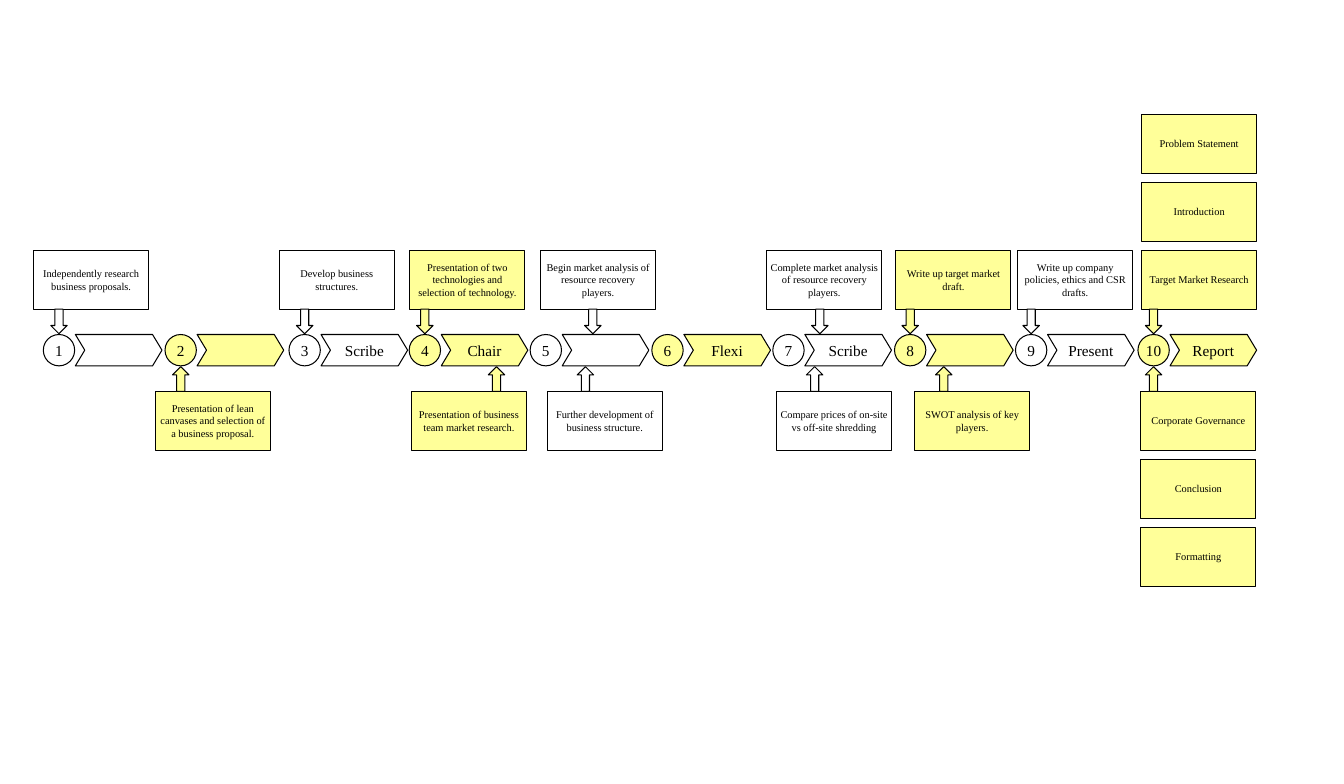
from dataclasses import dataclass

from pptx import Presentation
from pptx.dml.color import RGBColor
from pptx.enum.shapes import MSO_SHAPE
from pptx.enum.text import MSO_ANCHOR, PP_ALIGN
from pptx.util import Inches, Pt

STAGES = [
    (0.58, ""),
    (2.21, ""),
    (3.87, "Scribe"),
    (5.48, "Chair"),
    (7.10, ""),
    (8.73, "Flexi"),
    (10.35, "Scribe"),
    (11.98, ""),
    (13.60, "Present"),
    (15.24, "Report"),
]

NOTES_ABOVE = [
    (1, 0.45, 0.10, ["Independently research business proposals."]),
    (3, 3.74, 0.10, ["Develop business structures."]),
    (4, 5.49, 0.10, ["Presentation of two technologies and selection of technology."]),
    (5, 7.24, 0.73, ["Begin market analysis of resource recovery players."]),
    (7, 10.27, 0.52, ["Complete market analysis of resource recovery players."]),
    (8, 12.00, 0.10, ["Write up target market draft."]),
    (9, 13.63, 0.10, ["Write up company policies, ethics and CSR drafts."]),
    (10, 15.29, 0.10, ["Target Market Research", "Introduction", "Problem Statement"]),
]

NOTES_BELOW = [
    (2, 2.08, 0.10, ["Presentation of lean canvases and selection of a business proposal."]),
    (4, 5.51, 1.06, ["Presentation of business team market research."]),
    (5, 7.33, 0.63, ["Further development of business structure."]),
    (7, 10.40, 0.45, ["Compare prices of on-site vs off-site shredding"]),
    (8, 12.25, 0.55, ["SWOT analysis of key players."]),
    (10, 15.28, 0.10, ["Corporate Governance", "Conclusion", "Formatting"]),
]

SIDES = [
    (NOTES_ABOVE, 3.35, -0.91, 4.14, 0),
    (NOTES_BELOW, 5.24, 0.91, 4.91, 180),
]

STAGE_TOP = 4.48
CHEVRON_OFFSET = 0.43
CIRCLE_SIZE = (0.42, 0.42)
CHEVRON_SIZE = (1.16, 0.42)
NOTE_SIZE = (1.54, 0.79)
ARROW_SIZE = (0.22, 0.33)


@dataclass(frozen=True)
class Theme:
    font: str = "Times New Roman"
    ink: RGBColor = RGBColor(0x00, 0x00, 0x00)
    white: RGBColor = RGBColor(0xFF, 0xFF, 0xFF)
    yellow: RGBColor = RGBColor(0xFF, 0xFF, 0x99)
    stage_size: float = 14.7
    note_size: float = 10
    line_width: float = 1


THEME = Theme()


def stage_color(number):
    return THEME.white if number % 2 else THEME.yellow


def add_shape(page, kind, left, top, size, number):
    shape = page.shapes.add_shape(kind, Inches(left), Inches(top), *map(Inches, size))
    shape.shadow.inherit = False
    shape.fill.solid()
    shape.fill.fore_color.rgb = stage_color(number)
    shape.line.color.rgb = THEME.ink
    shape.line.width = Pt(THEME.line_width)
    return shape


def add_text(shape, text, size, inset, wrap=True):
    frame = shape.text_frame
    frame.word_wrap = wrap
    frame.vertical_anchor = MSO_ANCHOR.MIDDLE
    frame.margin_left = frame.margin_right = Inches(inset)
    frame.margin_top = frame.margin_bottom = Inches(0)
    para = frame.paragraphs[0]
    para.alignment = PP_ALIGN.CENTER
    span = para.add_run()
    span.text = text
    span.font.name = THEME.font
    span.font.size = Pt(size)
    span.font.color.rgb = THEME.ink


def add_stage(page, number, left, role):
    circle = add_shape(page, MSO_SHAPE.OVAL, left, STAGE_TOP, CIRCLE_SIZE, number)
    add_text(circle, str(number), THEME.stage_size, 0, wrap=False)
    chevron = add_shape(
        page, MSO_SHAPE.CHEVRON, left + CHEVRON_OFFSET, STAGE_TOP, CHEVRON_SIZE, number
    )
    chevron.adjustments[0] = 0.3
    if role:
        add_text(chevron, role, THEME.stage_size, 0)


def add_notes(page, notes, first_top, step, arrow_top, rotation):
    for number, left, arrow_offset, texts in notes:
        for row, text in enumerate(texts):
            top = first_top + row * step
            box = add_shape(page, MSO_SHAPE.RECTANGLE, left, top, NOTE_SIZE, number)
            add_text(box, text, THEME.note_size, 0.05)
        arrow_left = STAGES[number - 1][0] + arrow_offset
        arrow = add_shape(
            page, MSO_SHAPE.DOWN_ARROW, arrow_left, arrow_top, ARROW_SIZE, number
        )
        arrow.rotation = rotation


def main():
    deck = Presentation()
    deck.slide_width = Inches(18)
    deck.slide_height = Inches(10.5)
    page = deck.slides.add_slide(deck.slide_layouts[6])
    for number, (left, role) in enumerate(STAGES, start=1):
        add_stage(page, number, left, role)
    for side in SIDES:
        add_notes(page, *side)
    deck.save("out.pptx")


if __name__ == "__main__":
    main()
